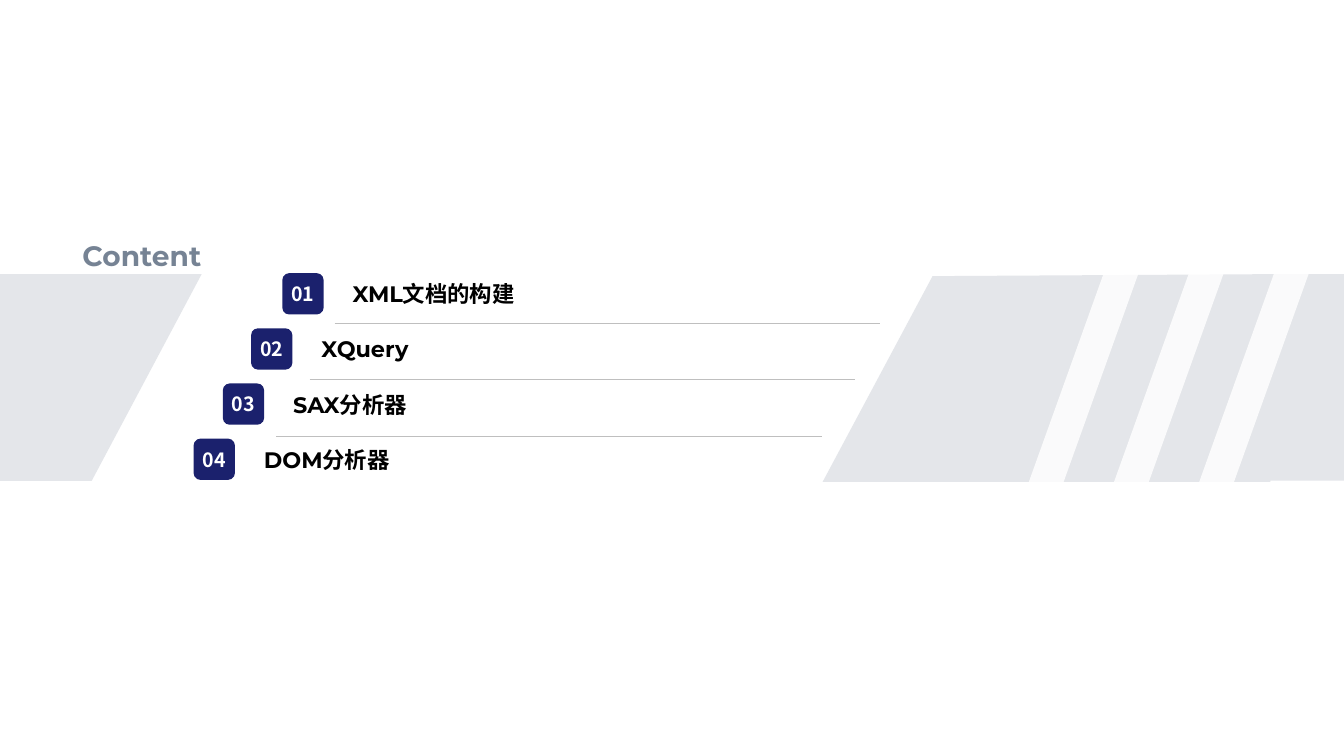
"""Builds the content overview slide with four numbered topics."""
import pptx
import pptx.dml.color
import pptx.enum.shapes
import pptx.enum.text
import pptx.oxml.ns
import pptx.util
from lxml import etree

Inches = pptx.util.Inches
SHAPE = pptx.enum.shapes.MSO_SHAPE
ALIGN = pptx.enum.text.PP_ALIGN
LATIN, CJK = "Montserrat", "Noto Sans CJK JP"
NAVY, PANEL, SLATE, RULE = "1B216D", "E4E6EA", "768394", "BFBFBF"
WHITE, BLACK = "FFFFFF", "000000"


def rgb(value):
    """Return the colour for a hex string."""
    return pptx.dml.color.RGBColor.from_string(value)


def add_xml(parent, tag, **attributes):
    """Append a drawing element to a parent element."""
    return etree.SubElement(parent, pptx.oxml.ns.qn(tag), attributes)


def paint(shape, color, opacity=100):
    """Give a shape a flat fill without outline or shadow."""
    shape.shadow.inherit = False
    shape.line.fill.background()
    shape.fill.solid()
    shape.fill.fore_color.rgb = rgb(color)
    if opacity < 100:
        fill = shape.fill._xPr.find(pptx.oxml.ns.qn("a:solidFill"))
        add_xml(fill[0], "a:alpha", val=str(opacity * 1000))


def write(shape, parts, size, color, align=ALIGN.LEFT):
    """Write (text, font name) parts as one vertically centred bold line."""
    frame = shape.text_frame
    frame.word_wrap = False
    frame.vertical_anchor = pptx.enum.text.MSO_ANCHOR.MIDDLE
    line = frame.paragraphs[0]
    line.alignment = align
    for text, face in parts:
        run = line.add_run()
        run.text = text
        style = {"size": pptx.util.Pt(size), "bold": True, "name": face}
        for key, value in style.items():
            setattr(run.font, key, value)
        run.font.color.rgb = rgb(color)
        add_xml(run.font._element, "a:ea", typeface=face)


def add_panel(slide, corners):
    """Draw a grey panel through its corner points."""
    points = [(Inches(x), Inches(y)) for x, y in corners]
    outline = slide.shapes.build_freeform(*points[0], scale=1.0)
    outline.add_line_segments(points[1:], close=True)
    paint(outline.convert_to_shape(), PANEL)


def add_stripe(slide, left):
    """Draw a slanted translucent stripe over the right panel."""
    stripe = slide.shapes.add_shape(SHAPE.PARALLELOGRAM, Inches(left), Inches(2.69),
                                    Inches(1.16), Inches(2.27))
    stripe.adjustments[0] = 0.702
    paint(stripe, WHITE, opacity=82)


def add_label(slide, box, parts, size, color):
    """Add a text box holding one line."""
    label = slide.shapes.add_textbox(*map(Inches, box))
    write(label, parts, size, color)


def add_topic(slide, number, left, top, parts):
    """Add a numbered badge with its topic title."""
    add_label(slide, (left + 0.6, top - 0.02, 3.07, 0.45), parts, 16, BLACK)
    badge = slide.shapes.add_shape(SHAPE.ROUNDED_RECTANGLE, Inches(left), Inches(top),
                                   Inches(0.41), Inches(0.41))
    paint(badge, NAVY)
    write(badge, [(f"{number:02}", CJK)], 14, WHITE, ALIGN.CENTER)


def add_divider(slide, left, top):
    """Draw a thin rule between two topics."""
    divider = slide.shapes.add_connector(
        pptx.enum.shapes.MSO_CONNECTOR.STRAIGHT,
        Inches(left), Inches(top), Inches(left + 5.41), Inches(top))
    divider.line.color.rgb = rgb(RULE)
    divider.line.width = pptx.util.Pt(0.25)
    add_xml(divider._element.spPr, "a:effectLst")


def main():
    """Build and save the slide."""
    deck = pptx.Presentation()
    deck.slide_width, deck.slide_height = Inches(13.33), Inches(7.5)
    slide = deck.slides.add_slide(deck.slide_layouts[6])

    add_panel(slide, [(12.6, 2.72), (13.33, 2.72), (13.33, 4.77), (12.6, 4.77),
                      (12.6, 4.78), (8.16, 4.78), (9.25, 2.74)])
    add_panel(slide, [(0, 2.72), (2, 2.72), (0.91, 4.77), (0, 4.77)])
    for index in range(3):
        add_stripe(slide, 10.14 + 0.845 * index)

    add_label(slide, (0.72, 2.19, 2.23, 0.68), [("Content", LATIN)], 20, SLATE)
    topics = [
        (2.8, [("XML", LATIN), ("文档的构建", CJK)]),
        (2.49, [("XQuery", LATIN)]),
        (2.21, [("SAX", LATIN), ("分析器", CJK)]),
        (1.92, [("DOM", LATIN), ("分析器", CJK)]),
    ]
    for index, (left, parts) in enumerate(topics):
        add_topic(slide, index + 1, left, 2.71 + 0.547 * index, parts)
    for left, top in [(3.32, 3.21), (3.07, 3.76), (2.74, 4.33)]:
        add_divider(slide, left, top)

    deck.save("out.pptx")


if __name__ == "__main__":
    main()
